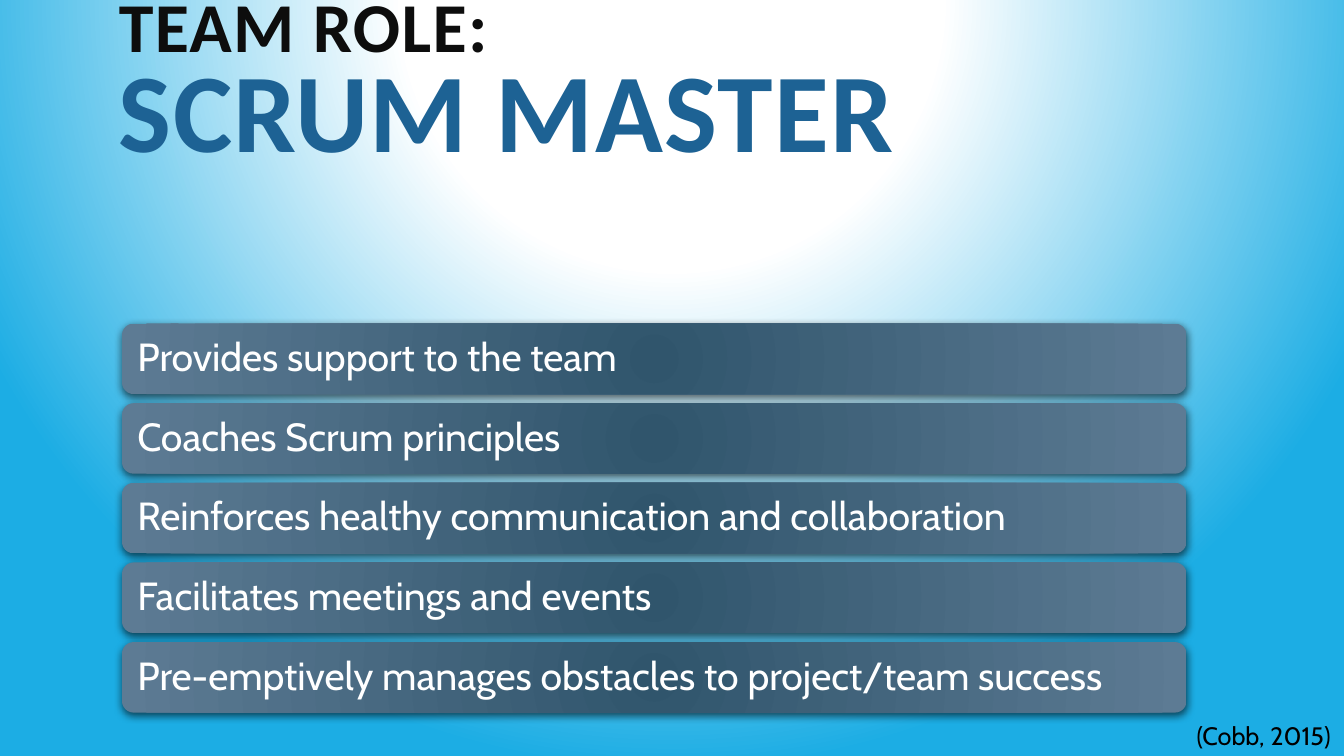
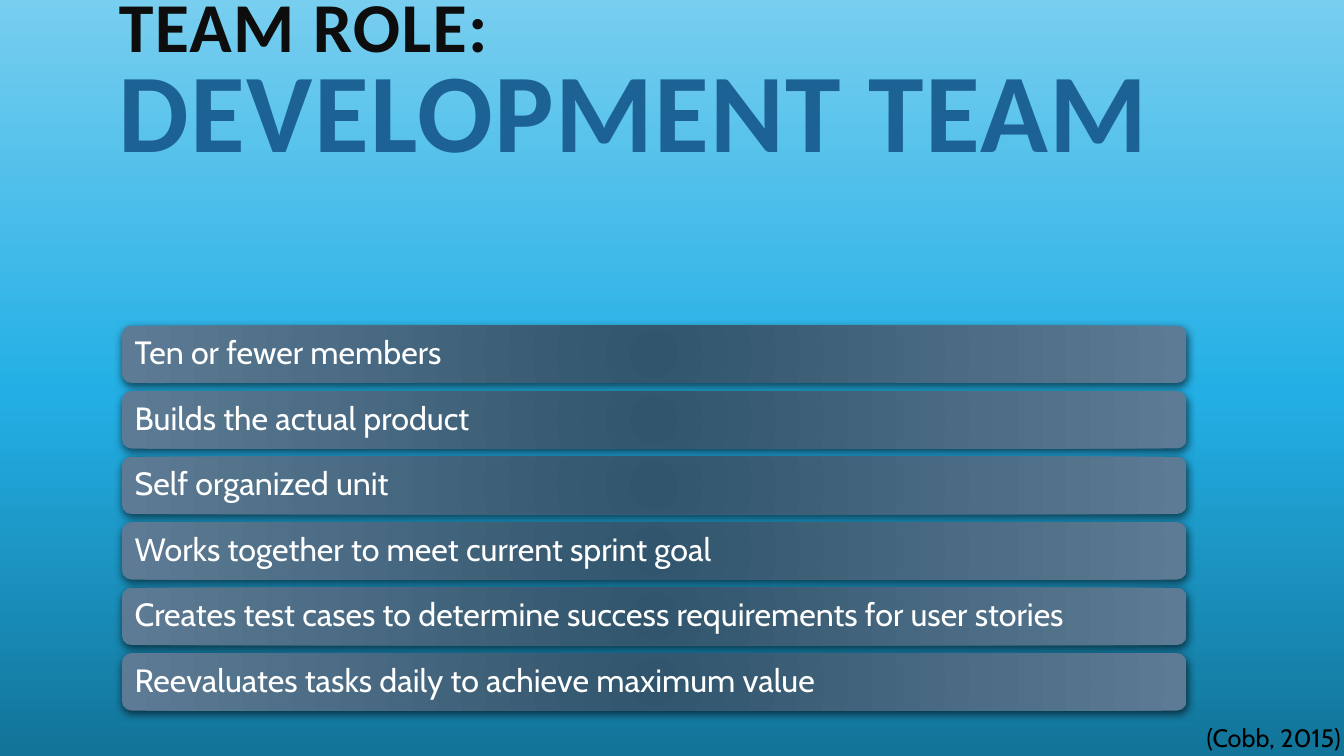
import pptx
import pptx.util
import pptx.dml.color
import pptx.enum.shapes
import pptx.enum.text
import pptx.oxml
import pptx.oxml.ns
from pptx.util import Inches, Pt

COLORS = {
    "ink": "0D0D0D", "role": "1D6294", "bar text": "FFFFFF", "citation": "000000",
    "bar center": "30556C", "bar edge": "5D7B94", "shadow": "000000",
    "glow": "FFFFFF", "sky": "1CADE4",
    "deep": "127499", "mid": "23AFE5", "pale": "77CEEF",
}

BAR_GRADIENT = {
    "stops": [(0, "bar center"), (100, "bar edge")],
    "focus": (100, 100, 100, 100),
}
KICKER = "TEAM ROLE:"
CITATION = "(Cobb, 2015)"
BAR_LEFT, BAR_WIDTH = 1.21, 10.56

ROLES = [
    {
        "role": "SCRUM MASTER",
        "title width": 8.71,
        "background": {
            "stops": [(0, "glow"), (35, "glow"), (100, "sky")],
            "focus": (50, -80, 50, 180),
        },
        "duties": [
            "Provides support to the team",
            "Coaches Scrum principles",
            "Reinforces healthy communication and collaboration",
            "Facilitates meetings and events",
            "Pre-emptively manages obstacles to project/team success",
        ],
        "bars": {"top": 3.21, "height": 0.7, "gap": 0.09, "inset": 0.12, "size": 28},
        "citation at": (11.77, 7.1),
    },
    {
        "role": "DEVELOPMENT TEAM",
        "title width": 12.2,
        "background": {
            "stops": [(0, "deep"), (48, "mid"), (100, "pale")],
            "angle": 270,
        },
        "duties": [
            "Ten or fewer members",
            "Builds the actual product",
            "Self organized unit",
            "Works together to meet current sprint goal",
            "Creates test cases to determine success requirements for user stories",
            "Reevaluates tasks daily to achieve maximum value",
        ],
        "bars": {"top": 3.23, "height": 0.57, "gap": 0.08, "inset": 0.1, "size": 23},
        "citation at": (11.87, 7.12),
    },
]


def apply_gradient(parent, gradient):
    """Replace the solid fill inside parent with a linear or circular gradient."""
    stops = "".join(
        f'<a:gs pos="{pos * 1000}"><a:srgbClr val="{COLORS[color]}"/></a:gs>'
        for pos, color in gradient["stops"])
    if "angle" in gradient:
        course = f'<a:lin ang="{gradient["angle"] * 60000}" scaled="0"/>'
    else:
        left, top, right, bottom = (side * 1000 for side in gradient["focus"])
        course = (f'<a:path path="circle"><a:fillToRect l="{left}" t="{top}" '
                  f'r="{right}" b="{bottom}"/></a:path>')
    fill = pptx.oxml.parse_xml(
        f'<a:gradFill {pptx.oxml.ns.nsdecls("a")} rotWithShape="1">'
        f'<a:gsLst>{stops}</a:gsLst>{course}</a:gradFill>')
    parent.replace(parent.find(pptx.oxml.ns.qn("a:solidFill")), fill)


def add_soft_shadow(shape):
    shape.shadow.inherit = False
    effects = shape.element.spPr.find(pptx.oxml.ns.qn("a:effectLst"))
    effects.append(pptx.oxml.parse_xml(
        f'<a:outerShdw {pptx.oxml.ns.nsdecls("a")} blurRad="{Pt(6)}" dist="{Pt(2)}" '
        f'dir="5400000" rotWithShape="0"><a:srgbClr val="{COLORS["shadow"]}">'
        '<a:alpha val="60000"/></a:srgbClr></a:outerShdw>'))


def add_run(paragraph, text, color, **font_values):
    run = paragraph.add_run()
    run.text = text
    for name, value in font_values.items():
        setattr(run.font, name, value)
    run.font.color.rgb = pptx.dml.color.RGBColor.from_string(COLORS[color])
    return run


def set_frame(frame, **values):
    for name, value in {"word_wrap": True, **values}.items():
        setattr(frame, name, value)
    return frame.paragraphs[0]


def add_title(slide, role, width):
    title = slide.shapes.add_textbox(Inches(1.08), Inches(-0.59), Inches(width), Inches(2.89))
    paragraph = set_frame(title.text_frame,
                          vertical_anchor=pptx.enum.text.MSO_ANCHOR.MIDDLE)
    paragraph.line_spacing = 0.8
    style = {"name": "Calibri", "bold": True}
    kicker = add_run(paragraph, KICKER, "ink", size=Pt(50), **style)
    paragraph.add_line_break()
    heading = add_run(paragraph, role, "role", size=Pt(80), **style)
    for run in (kicker, heading):
        run.font._element.set("spc", "100")


def add_duty_bars(slide, duties, top, height, gap, inset, size):
    margins = {f"margin_{side}": Inches(inset) for side in ("left", "top", "right", "bottom")}
    for index, duty in enumerate(duties):
        bar = slide.shapes.add_shape(
            pptx.enum.shapes.MSO_SHAPE.ROUNDED_RECTANGLE,
            Inches(BAR_LEFT), Inches(top + index * (height + gap)),
            Inches(BAR_WIDTH), Inches(height))
        bar.fill.solid()
        apply_gradient(bar.element.spPr, BAR_GRADIENT)
        bar.line.fill.background()
        add_soft_shadow(bar)
        paragraph = set_frame(bar.text_frame, **margins,
                              vertical_anchor=pptx.enum.text.MSO_ANCHOR.MIDDLE)
        paragraph.alignment = pptx.enum.text.PP_ALIGN.LEFT
        paragraph.line_spacing = 0.9
        add_run(paragraph, duty, "bar text", name="Cabin", size=Pt(size))


def add_citation(slide, left, top):
    citation = slide.shapes.add_textbox(Inches(left), Inches(top), Inches(1.46), Inches(0.4))
    paragraph = set_frame(citation.text_frame, margin_right=0)
    add_run(paragraph, CITATION, "citation", name="Cabin", size=Pt(18))


def main():
    deck = pptx.Presentation()
    deck.slide_width, deck.slide_height = Inches(13.33), Inches(7.5)
    for content in ROLES:
        slide = deck.slides.add_slide(deck.slide_layouts[6])
        slide.background.fill.solid()
        background = slide.element.find(".//" + pptx.oxml.ns.qn("p:bgPr"))
        apply_gradient(background, content["background"])
        add_title(slide, content["role"], content["title width"])
        add_duty_bars(slide, content["duties"], **content["bars"])
        add_citation(slide, *content["citation at"])
    deck.save("out.pptx")


if __name__ == "__main__":
    main()
